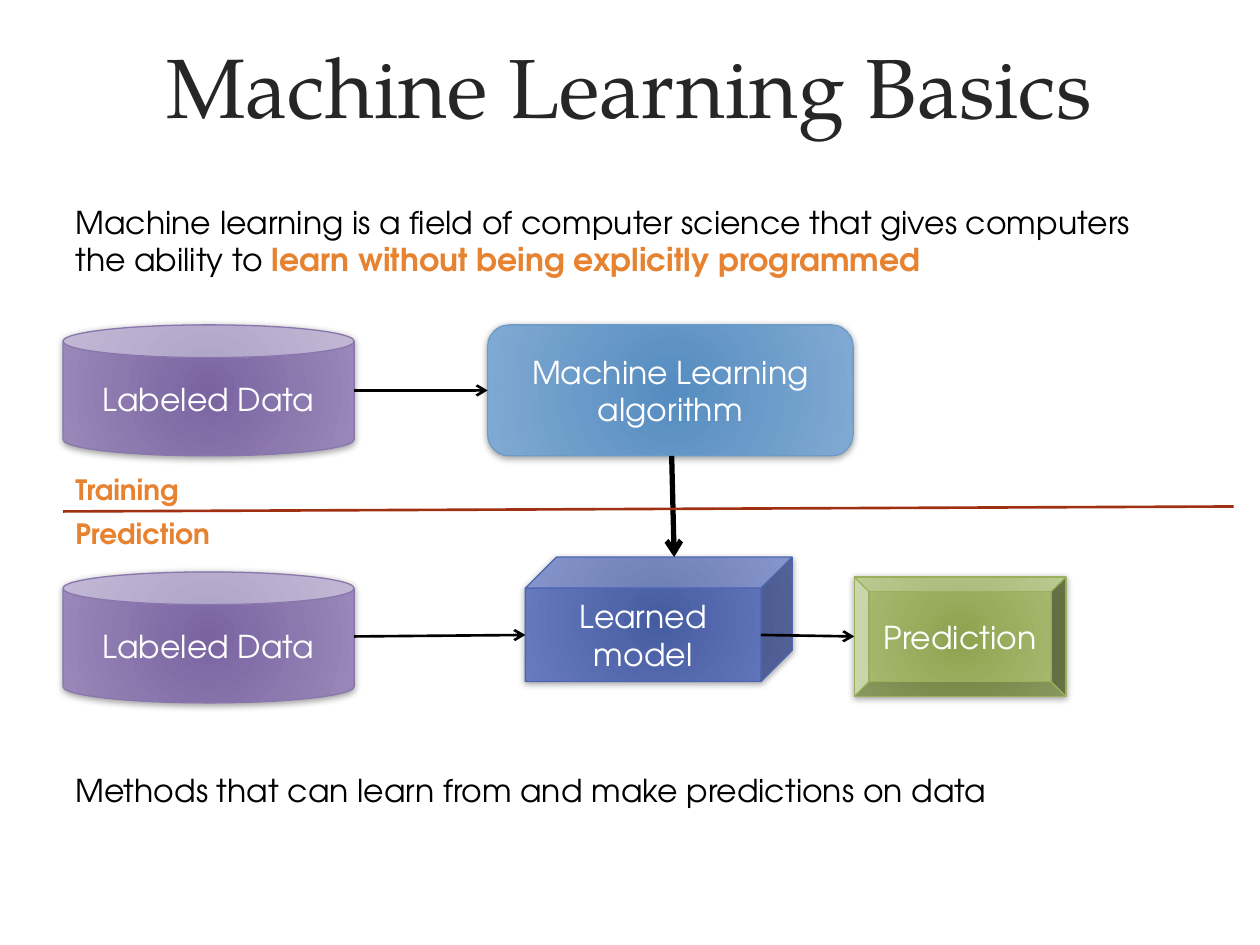
from typing import NamedTuple

from lxml import etree
from pptx import Presentation
from pptx import util as u
from pptx.dml.color import RGBColor
from pptx.enum import shapes, text
from pptx.oxml import ns

BODY_FONT = "TeX Gyre Adventor"
TITLE_FONT = "TeX Gyre Pagella"

BLACK = RGBColor(0x00, 0x00, 0x00)
WHITE = RGBColor(0xFF, 0xFF, 0xFF)
CHARCOAL = RGBColor(0x26, 0x26, 0x26)
ORANGE = RGBColor(0xE6, 0x82, 0x30)
RUST = RGBColor(0x9F, 0x30, 0x11)


class Palette(NamedTuple):
    inner: RGBColor
    outer: RGBColor
    border: RGBColor


PURPLE = Palette(RGBColor(0x79, 0x64, 0xA1), RGBColor(0x9A, 0x89, 0xB9), RGBColor(0x89, 0x76, 0xAC))
BLUE = Palette(RGBColor(0x55, 0x8C, 0xBF), RGBColor(0x81, 0xAA, 0xD3), RGBColor(0x6B, 0x9B, 0xC7))
INDIGO = Palette(RGBColor(0x46, 0x5C, 0xA1), RGBColor(0x68, 0x7B, 0xBF), RGBColor(0x4E, 0x66, 0xB2))
GREEN = Palette(RGBColor(0x8E, 0xA3, 0x50), RGBColor(0xAA, 0xBD, 0x75), RGBColor(0x9B, 0xB0, 0x5E))


class Area(NamedTuple):
    """Left, top, width and height in centimetres."""
    left: float
    top: float
    width: float
    height: float


class Span(NamedTuple):
    words: str
    color: RGBColor = BLACK
    bold: bool = False


class Note(NamedTuple):
    area: Area
    spans: list[Span]
    size: int = 18
    wrap: bool = True


class Step(NamedTuple):
    kind: shapes.MSO_SHAPE
    area: Area
    label: str
    palette: Palette


class Link(NamedTuple):
    start: tuple[float, float]
    end: tuple[float, float]
    color: RGBColor = BLACK
    weight: float = 1.5
    arrow: bool = True


LEFT = 1.27
TRAIN_TOP, PREDICT_TOP = 6.55, 11.53
CAN_WIDTH, ROW_HEIGHT = 5.87, 2.64
CAN_RIGHT = LEFT + CAN_WIDTH

STEPS = [
    Step(shapes.MSO_SHAPE.CAN, Area(LEFT, TRAIN_TOP, CAN_WIDTH, ROW_HEIGHT), "Labeled Data", PURPLE),
    Step(shapes.MSO_SHAPE.CAN, Area(LEFT, PREDICT_TOP, CAN_WIDTH, ROW_HEIGHT), "Labeled Data", PURPLE),
    Step(shapes.MSO_SHAPE.ROUNDED_RECTANGLE, Area(9.83, TRAIN_TOP, 7.37, ROW_HEIGHT),
         "Machine Learning algorithm", BLUE),
    Step(shapes.MSO_SHAPE.CUBE, Area(10.59, 11.23, 5.38, 2.51), "Learned model", INDIGO),
    Step(shapes.MSO_SHAPE.BEVEL, Area(17.22, 11.63, 4.27, 2.41), "Prediction", GREEN),
]

LINKS = [
    Link((CAN_RIGHT, 7.87), (9.83, 7.87)),
    Link((CAN_RIGHT, 12.83), (10.59, 12.8)),
    Link((15.34, 12.8), (17.22, 12.83)),
    Link((13.54, TRAIN_TOP + ROW_HEIGHT), (13.59, 11.23), weight=3),
    Link((LEFT, 10.31), (24.87, 10.21), color=RUST, arrow=False),
]

INTRO = [
    Span("Machine learning is a field of computer science that gives computers the ability to "),
    Span("learn without being explicitly programmed", ORANGE, True),
]
NOTES = [
    Note(Area(LEFT, 3.96, 21.95, 1.8), INTRO),
    Note(Area(LEFT, 15.42, 24.87, 1.02),
         [Span("Methods that can learn from and make predictions on data")]),
    Note(Area(LEFT, 9.4, 2.64, 0.94), [Span("Training", ORANGE, True)], 16, False),
    Note(Area(LEFT, 10.29, 3.28, 0.94), [Span("Prediction", ORANGE, True)], 16, False),
]


def lengths(area: Area) -> list[u.Length]:
    return [u.Cm(value) for value in area]


def add_run(para, span: Span, size: int, font: str = BODY_FONT) -> None:
    run = para.add_run()
    run.text = span.words
    run.font.name = font
    run.font.size = u.Pt(size)
    run.font.bold = span.bold
    run.font.color.rgb = span.color


def add_title(page, words: str) -> None:
    title = page.shapes.title
    title.left, title.top, title.width, title.height = lengths(Area(1.52, 0.51, 22.33, 2.39))
    frame = title.text_frame
    frame.auto_size = text.MSO_AUTO_SIZE.NONE
    frame.vertical_anchor = text.MSO_ANCHOR.MIDDLE
    para = frame.paragraphs[0]
    para.alignment = text.PP_ALIGN.CENTER
    add_run(para, Span(words, CHARCOAL), 48, TITLE_FONT)


def add_note(page, note: Note) -> None:
    frame = page.shapes.add_textbox(*lengths(note.area)).text_frame
    frame.word_wrap = note.wrap
    for span in note.spans:
        add_run(frame.paragraphs[0], span, note.size)


def paint_radial(fill, palette: Palette) -> None:
    fill.gradient()
    for stop, color, position in zip(fill.gradient_stops, palette, (0, 1)):
        stop.color.rgb = color
        stop.position = position


def finish_effects(box) -> None:
    """Turn the gradient circular and add a soft shadow below."""
    properties = box.element.spPr
    gradient = properties.find(ns.qn("a:gradFill"))
    gradient.remove(gradient.find(ns.qn("a:lin")))
    circle = etree.SubElement(gradient, ns.qn("a:path"), {"path": "circle"})
    etree.SubElement(circle, ns.qn("a:fillToRect"),
                     {"l": "40000", "t": "100000", "r": "40000", "b": "100000"})

    box.shadow.inherit = False
    effects = properties.find(ns.qn("a:effectLst"))
    shadow = etree.SubElement(effects, ns.qn("a:outerShdw"), {
        "blurRad": str(u.Pt(4)), "dist": str(u.Pt(1)), "dir": "5400000", "rotWithShape": "0"})
    color = etree.SubElement(shadow, ns.qn("a:srgbClr"), {"val": str(BLACK)})
    etree.SubElement(color, ns.qn("a:alpha"), {"val": "37000"})


def add_step(page, step: Step) -> None:
    box = page.shapes.add_shape(step.kind, *lengths(step.area))
    paint_radial(box.fill, step.palette)
    box.line.color.rgb = step.palette.border
    box.line.width = u.Pt(0.75)
    finish_effects(box)
    frame = box.text_frame
    frame.word_wrap = True
    frame.vertical_anchor = text.MSO_ANCHOR.MIDDLE
    para = frame.paragraphs[0]
    para.alignment = text.PP_ALIGN.CENTER
    add_run(para, Span(step.label, WHITE), 18)


def add_link(page, link: Link) -> None:
    ends = [u.Cm(value) for value in (*link.start, *link.end)]
    line = page.shapes.add_connector(shapes.MSO_CONNECTOR.STRAIGHT, *ends)
    line.line.color.rgb = link.color
    line.line.width = u.Pt(link.weight)
    if link.arrow:
        etree.SubElement(line.line._get_or_add_ln(), ns.qn("a:tailEnd"), {"type": "arrow"})
    etree.SubElement(line.element.spPr, ns.qn("a:effectLst"))


def main() -> None:
    deck = Presentation()
    deck.slide_width, deck.slide_height = u.Cm(25.4), u.Cm(19.05)
    page = deck.slides.add_slide(deck.slide_layouts[5])  # title only

    add_title(page, "Machine Learning Basics")

    # Training row above the divider, prediction row below
    for step in STEPS:
        add_step(page, step)
    for link in LINKS:
        add_link(page, link)

    # Explanations and row labels
    for note in NOTES:
        add_note(page, note)

    deck.save("out.pptx")


if __name__ == "__main__":
    main()
